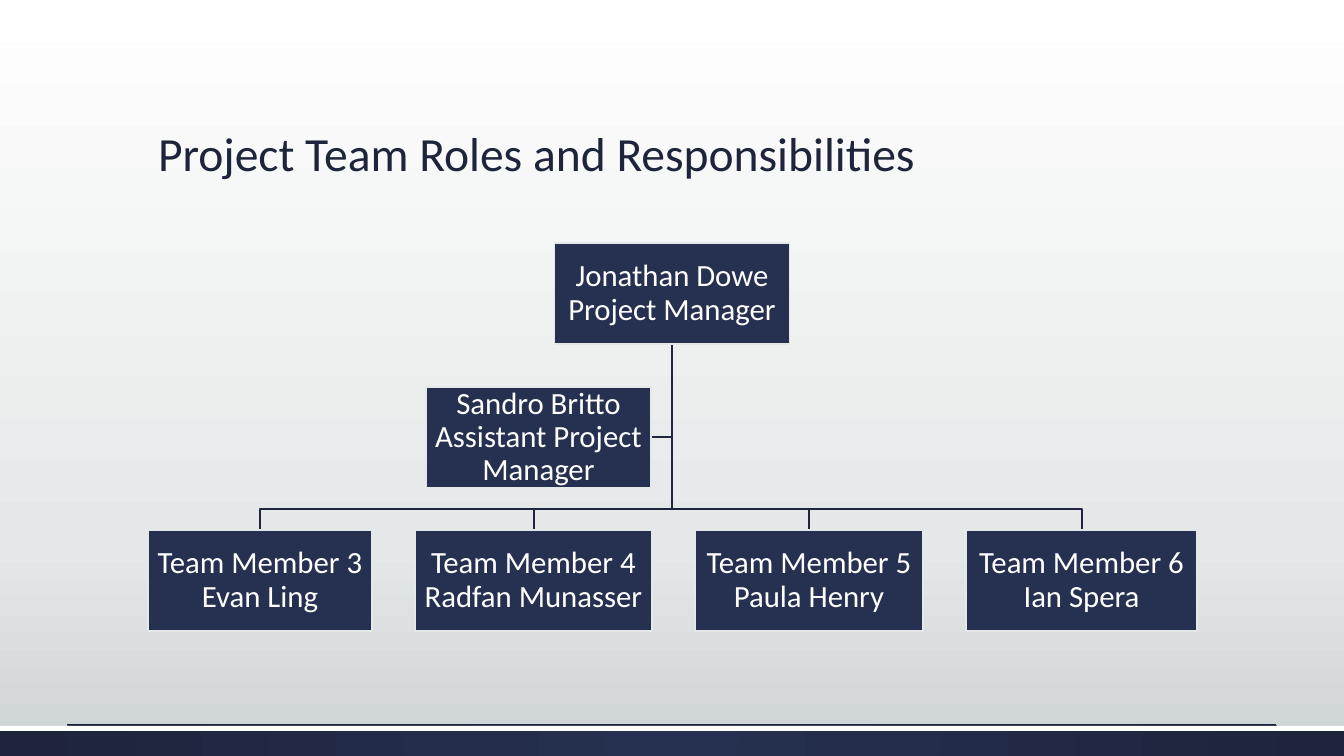
from pptx import Presentation
from pptx.dml.color import RGBColor
from pptx.enum.shapes import MSO_CONNECTOR, MSO_SHAPE
from pptx.enum.text import MSO_ANCHOR, PP_ALIGN
from pptx.oxml import parse_xml
from pptx.oxml.ns import nsdecls, qn
from pptx.util import Pt

PX = 914400 / 100.8
PAGE_WIDTH, PAGE_HEIGHT = 1344, 756

WHITE = RGBColor(0xFF, 0xFF, 0xFF)
MIST = RGBColor(0xE5, 0xE8, 0xE8)
SILVER = RGBColor(0xCD, 0xD2, 0xD2)
NAVY = RGBColor(0x26, 0x30, 0x50)
DARK_NAVY = RGBColor(0x1D, 0x24, 0x3C)
LINK_NAVY = RGBColor(0x1E, 0x26, 0x40)

TITLE = "Project Team Roles and Responsibilities"
TITLE_AREA = (148, 51, 1048, 136)
MANAGER = ("Jonathan Dowe Project Manager", 235)
ASSISTANT = ("Sandro Britto Assistant Project Manager", 225)
MEMBERS = [
    ("Team Member 3 Evan Ling", 224),
    ("Team Member 4 Radfan Munasser", 237),
    ("Team Member 5 Paula Henry", 228),
    ("Team Member 6 Ian Spera", 231),
]
BOX_HEIGHT = 101
MANAGER_TOP, ASSISTANT_TOP, MEMBER_TOP = 243, 387, 530
MEMBER_LEFT, MEMBER_GAP = 148, 43
TRUNK_X = PAGE_WIDTH // 2
HALF_GAP = 21

BACKGROUND_STOPS = [(0, WHITE), (72, MIST), (100, SILVER)]
BAND_STOPS = [(0, NAVY), (100, DARK_NAVY)]
DOWNWARD = '<a:lin ang="5400000" scaled="0"/>'
FROM_CENTRE = ('<a:path path="circle"><a:fillToRect l="50000" t="50000" '
               'r="50000" b="50000"/></a:path>')


def emu(*lengths):
    return [round(length * PX) for length in lengths]


def set_gradient(fill, element, stops, direction):
    """Fill the owner of element with any number of (percent, colour) stops."""
    fill.gradient()
    plain = next(element.iter(qn("a:gradFill")))
    stop_xml = "".join(
        f'<a:gs pos="{percent * 1000}"><a:srgbClr val="{colour}"/></a:gs>'
        for percent, colour in stops)
    plain.getparent().replace(plain, parse_xml(
        f'<a:gradFill {nsdecls("a")} rotWithShape="1">'
        f'<a:gsLst>{stop_xml}</a:gsLst>{direction}</a:gradFill>'))


def write(frame, text, size, colour, align, anchor):
    frame.word_wrap = True
    frame.vertical_anchor = anchor
    para = frame.paragraphs[0]
    para.alignment = align
    para.line_spacing = 0.9
    span = para.add_run()
    span.text = text
    span.font.name = "Calibri"
    span.font.size = Pt(size)
    span.font.color.rgb = colour


def add_rectangle(page, left, top, width, height, colour):
    box = page.shapes.add_shape(MSO_SHAPE.RECTANGLE, *emu(left, top, width, height))
    box.shadow.inherit = False
    box.fill.solid()
    box.fill.fore_color.rgb = colour
    box.line.fill.background()
    return box


def add_role(page, text, left, top, width):
    box = add_rectangle(page, left, top, width, BOX_HEIGHT, NAVY)
    box.line.color.rgb = MIST
    box.line.width = Pt(1)
    frame = box.text_frame
    frame.margin_left = frame.margin_right = Pt(1)
    frame.margin_top = frame.margin_bottom = Pt(1)
    write(frame, text, 22, WHITE, PP_ALIGN.CENTER, MSO_ANCHOR.MIDDLE)


def add_link(page, *turns):
    """Draw an elbow from the foot of the manager's box through the turns."""
    builder = page.shapes.build_freeform(TRUNK_X, MANAGER_TOP + BOX_HEIGHT, scale=PX)
    builder.add_line_segments(turns, close=False)
    link = builder.convert_to_shape()
    link.shadow.inherit = False
    link.fill.background()
    link.line.color.rgb = LINK_NAVY
    link.line.width = Pt(1)


def add_footer(page):
    rule = page.shapes.add_connector(MSO_CONNECTOR.STRAIGHT, *emu(67, 725, 1276, 725))
    rule.line.color.rgb = DARK_NAVY
    rule.line.width = Pt(0.75)
    rule._element.spPr.append(parse_xml(f'<a:effectLst {nsdecls("a")}/>'))
    band = add_rectangle(page, 0, 726, PAGE_WIDTH, 30, NAVY)
    set_gradient(band.fill, band._element, BAND_STOPS, FROM_CENTRE)
    add_rectangle(page, 0, 726, PAGE_WIDTH, 5, WHITE)


def add_chart_of_roles(page):
    manager, manager_width = MANAGER
    assistant, assistant_width = ASSISTANT
    assistant_right = TRUNK_X - HALF_GAP
    assistant_middle = ASSISTANT_TOP + BOX_HEIGHT // 2
    branch_y = MEMBER_TOP - HALF_GAP

    add_link(page, (TRUNK_X, assistant_middle), (assistant_right, assistant_middle))
    left = MEMBER_LEFT
    for text, width in MEMBERS:
        middle = left + width / 2
        add_link(page, (TRUNK_X, branch_y), (middle, branch_y), (middle, MEMBER_TOP))
        add_role(page, text, left, MEMBER_TOP, width)
        left += width + MEMBER_GAP
    add_role(page, manager, TRUNK_X - manager_width / 2, MANAGER_TOP, manager_width)
    add_role(page, assistant, assistant_right - assistant_width, ASSISTANT_TOP,
             assistant_width)


def main():
    deck = Presentation()
    deck.slide_width, deck.slide_height = emu(PAGE_WIDTH, PAGE_HEIGHT)
    page = deck.slides.add_slide(deck.slide_layouts[5])
    set_gradient(page.background.fill, page._element, BACKGROUND_STOPS, DOWNWARD)
    add_footer(page)
    title = page.shapes.title
    title.left, title.top, title.width, title.height = emu(*TITLE_AREA)
    write(title.text_frame, TITLE, 34, DARK_NAVY, PP_ALIGN.LEFT, MSO_ANCHOR.BOTTOM)
    add_chart_of_roles(page)
    deck.save("out.pptx")


if __name__ == "__main__":
    main()
